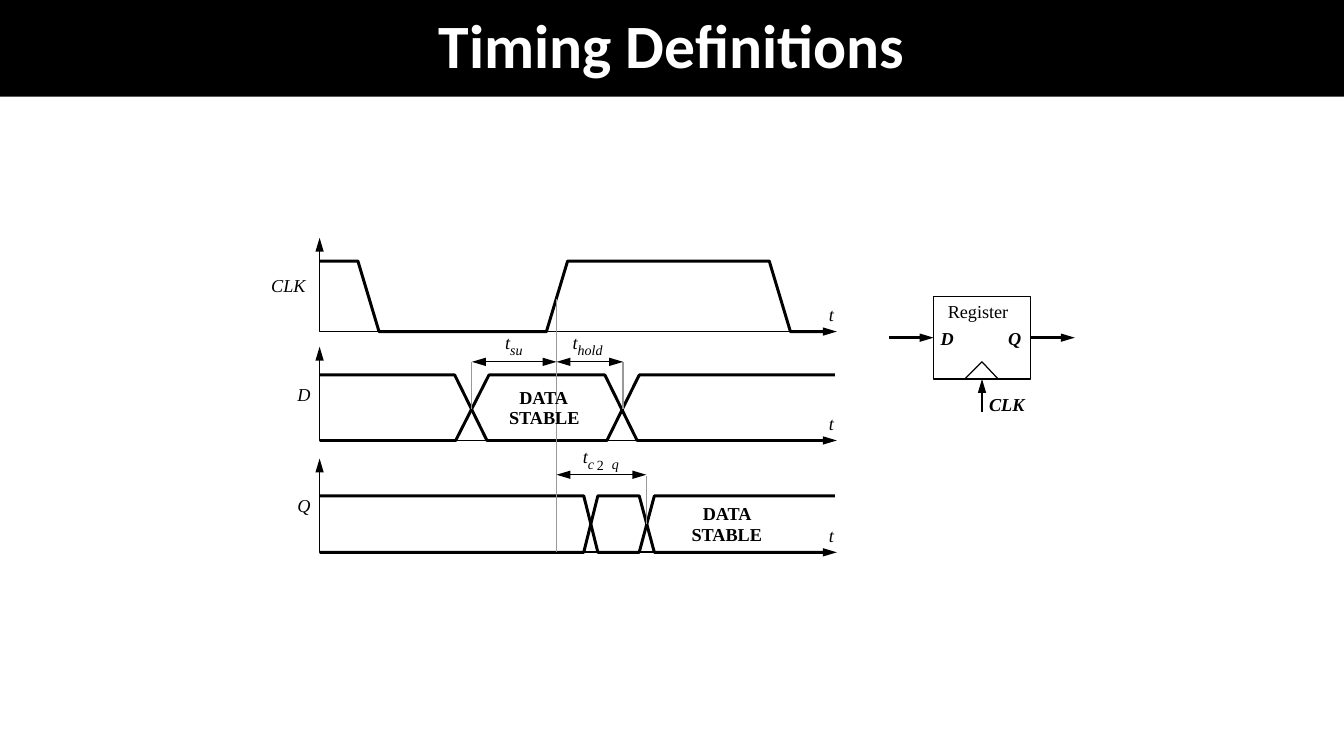
from dataclasses import dataclass

from lxml import etree
from pptx import Presentation
from pptx.dml.color import RGBColor
from pptx.enum.shapes import MSO_CONNECTOR, MSO_SHAPE
from pptx.enum.text import MSO_ANCHOR, MSO_AUTO_SIZE, PP_ALIGN
from pptx.oxml.ns import qn
from pptx.util import Pt

STRAIGHT = MSO_CONNECTOR.STRAIGHT
RECT = MSO_SHAPE.RECTANGLE
MIDDLE = MSO_ANCHOR.MIDDLE
GROW = MSO_AUTO_SIZE.SHAPE_TO_FIT_TEXT
LEFT, CENTER = PP_ALIGN.LEFT, PP_ALIGN.CENTER
PX = 9144
BLACK, GRAY, WHITE = "000000", "999999", "FFFFFF"
SERIF = "Times New Roman"
THIN, AXIS, BUS, WAVE = 0.88, 1.25, 1.75, 2.13
ORIGIN, TIP = 317, 830
EDGE = 552


@dataclass
class Label:
    text: str
    x: int
    y: int
    w: int
    size: int = 13
    bold: bool = False
    italic: bool = True


@dataclass
class Line:
    x1: int
    y1: int
    x2: int
    y2: int
    color: str = BLACK
    width: float = THIN
    head: bool = False
    tail: bool = False


@dataclass
class Plot:
    name: str
    x: int
    w: int
    top: int
    base: int
    name_y: int


PLOTS = [
    Plot("CLK", 269, 34, 236, 329, 272),
    Plot("D", 295, 13, 344, 437, 380),
    Plot("Q", 295, 13, 455, 548, 490),
]

WAVES = [
    [(823, 329), (784, 329), (763, 259), (563, 259),
     (542, 329), (376, 329), (355, 259), (ORIGIN, 259)],
    [(828, 372), (634, 372), (602, 437), (483, 437), (451, 372), (ORIGIN, 372)],
    [(823, 437), (632, 437), (600, 372), (485, 372), (452, 437), (ORIGIN, 437)],
    [(828, 492), (649, 492), (634, 548), (593, 548), (579, 492), (ORIGIN, 492)],
    [(821, 548), (649, 548), (634, 492), (593, 492), (579, 548), (ORIGIN, 548)],
]

LINES = [
    Line(468, 406, 468, 359, GRAY),
    Line(618, 406, 618, 359, GRAY),
    Line(641, 520, 641, 472, GRAY),
    Line(EDGE, 548, EDGE, 297, GRAY),
    Line(468, 359, EDGE, 359, head=True, tail=True),
    Line(EDGE, 359, 618, 359, head=True, tail=True),
    Line(EDGE, 471, 641, 471, head=True, tail=True),
]

LABELS = [
    Label("t", 501, 329, 5),
    Label("su", 506, 339, 14, 10),
    Label("t", 568, 329, 5),
    Label("hold", 573, 339, 25, 10),
    Label("t", 578, 442, 5),
    Label("c", 583, 452, 6, 10),
    Label("2", 592, 453, 7, 10, italic=False),
    Label("q", 607, 452, 7, 10),
    Label("DATA", 515, 383, 49, bold=True, italic=False),
    Label("STABLE", 505, 403, 70, bold=True, italic=False),
    Label("DATA", 697, 498, 49, bold=True, italic=False),
    Label("STABLE", 686, 519, 70, bold=True, italic=False),
    Label("Register", 940, 298, 61, italic=False),
    Label("CLK", 981, 390, 35, bold=True),
    Label("D", 933, 325, 13, bold=True),
    Label("Q", 1000, 325, 13, bold=True),
]


def rgb(color: str) -> RGBColor:
    return RGBColor.from_string(color)


def write(frame, text: str, size: int = 13, font: str = SERIF,
          color: str = BLACK, bold: bool = False, italic: bool = False,
          align=LEFT, space: float = 1.0) -> None:
    para = frame.paragraphs[0]
    para.alignment = align
    para.line_spacing = space
    run = para.add_run()
    run.text = text
    run.font.size = Pt(size)
    run.font.name = font
    run.font.bold = bold
    run.font.italic = italic
    run.font.color.rgb = rgb(color)


def stroke(shape, color: str, width: float) -> None:
    shape.line.color.rgb = rgb(color)
    shape.line.width = Pt(width)


def outline(shape, width: float) -> None:
    shape.shadow.inherit = False
    shape.fill.background()
    stroke(shape, BLACK, width)


def add_tips(shape, head: bool, tail: bool) -> None:
    pen = shape.line._get_or_add_ln()
    for tag, shown in (("a:headEnd", head), ("a:tailEnd", tail)):
        if shown:
            etree.SubElement(pen, qn(tag), type="triangle", w="med", len="lg")


def put_label(slide, item: Label) -> None:
    box = slide.shapes.add_textbox(
        item.x * PX, item.y * PX, item.w * PX, (22 if item.size == 13 else 17) * PX)
    frame = box.text_frame
    frame.margin_left = frame.margin_right = 0
    frame.margin_top = frame.margin_bottom = 0
    frame.word_wrap = False
    frame.auto_size = GROW
    write(frame, item.text, size=item.size, bold=item.bold, italic=item.italic)


def put_line(slide, item: Line):
    link = slide.shapes.add_connector(
        STRAIGHT, item.x1 * PX, item.y1 * PX, item.x2 * PX, item.y2 * PX)
    stroke(link, item.color, item.width)
    add_tips(link, item.head, item.tail)
    etree.SubElement(link._element.spPr, qn("a:effectLst"))
    return link


def put_path(slide, points: list[tuple[int, int]], width: float):
    pen = slide.shapes.build_freeform(*points[0], scale=PX)
    pen.add_line_segments(points[1:], close=False)
    shape = pen.convert_to_shape()
    outline(shape, width)
    return shape


def put_title(slide) -> None:
    title = slide.shapes.title
    title.left, title.top, title.width, title.height = 0, 0, 1333 * PX, 96 * PX
    title.fill.solid()
    title.fill.fore_color.rgb = rgb(BLACK)
    title.text_frame.vertical_anchor = MIDDLE
    write(title.text_frame, "Timing Definitions", size=44, font="Calibri",
          color=WHITE, bold=True, align=CENTER, space=0.9)


def put_plot(slide, plot: Plot) -> None:
    corner = [(ORIGIN, plot.top), (ORIGIN, plot.base), (TIP, plot.base)]
    add_tips(put_path(slide, corner, AXIS), True, True)
    put_label(slide, Label("t", 822, plot.base - 28, 5))
    put_label(slide, Label(plot.name, plot.x, plot.name_y, plot.w))


def put_cell(slide) -> None:
    cell = slide.shapes.add_shape(RECT, 926 * PX, 294 * PX, 96 * PX, 82 * PX)
    outline(cell, THIN)
    put_path(slide, [(990, 376), (974, 359), (957, 376)], THIN)
    data = put_line(slide, Line(882, 335, 926, 335, width=BUS, tail=True))
    data.end_connect(cell, 1)
    clock = put_line(slide, Line(974, 409, 974, 376, width=BUS, tail=True))
    clock.end_connect(cell, 2)
    result = put_line(slide, Line(1022, 335, 1066, 335, width=BUS, tail=True))
    result.begin_connect(cell, 3)


def main() -> None:
    deck = Presentation()
    deck.slide_width, deck.slide_height = 1333 * PX, 750 * PX
    slide = deck.slides.add_slide(deck.slide_layouts[5])
    put_title(slide)
    for plot in PLOTS:
        put_plot(slide, plot)
    for points in WAVES:
        put_path(slide, points, WAVE)
    for item in LINES:
        put_line(slide, item)
    put_cell(slide)
    for item in LABELS:
        put_label(slide, item)
    deck.save("out.pptx")


if __name__ == "__main__":
    main()
